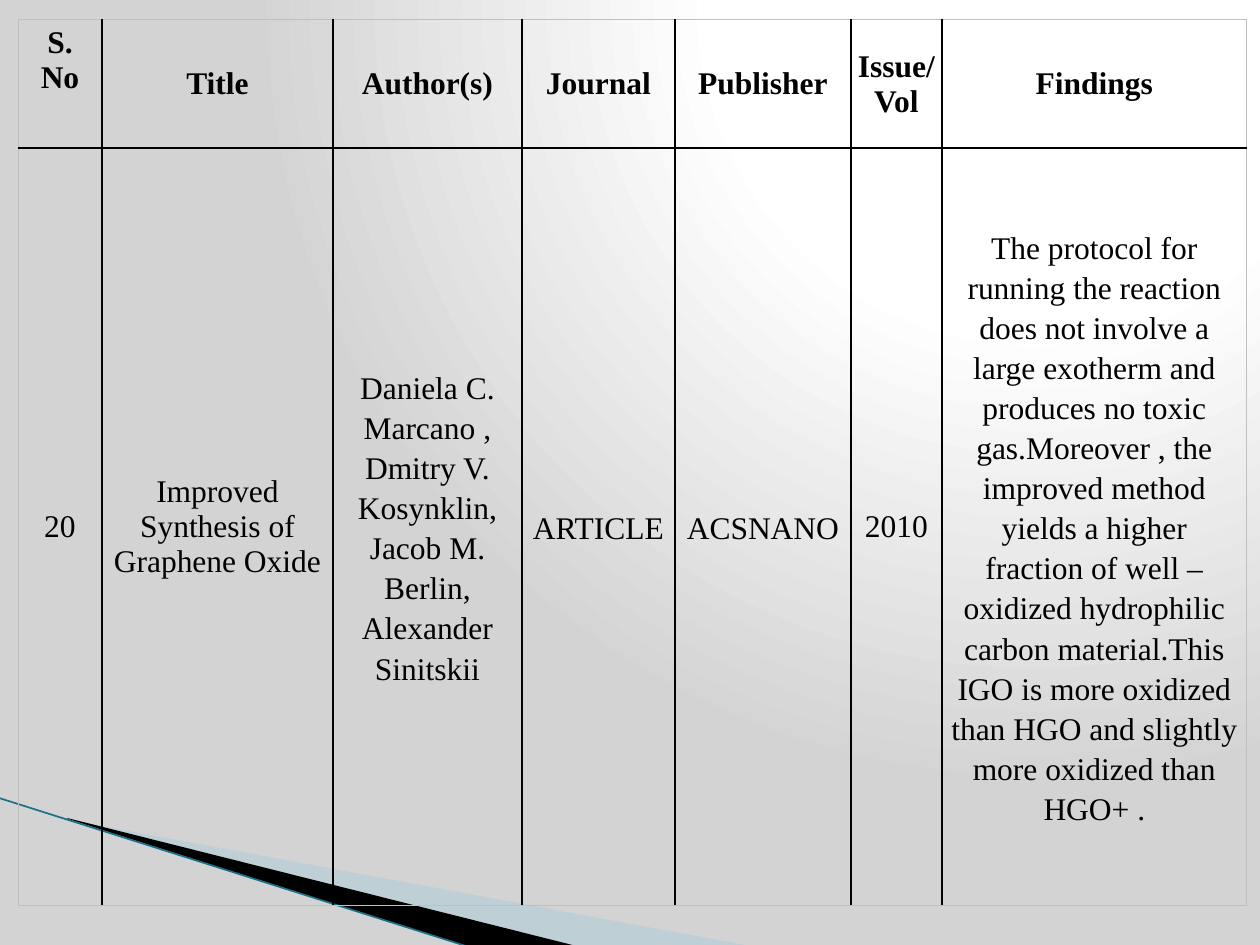
from lxml.etree import SubElement
from pptx import Presentation
from pptx.dml.color import RGBColor
from pptx.enum.shapes import MSO_CONNECTOR
from pptx.enum.text import MSO_ANCHOR, PP_ALIGN
from pptx.oxml import parse_xml
from pptx.oxml.ns import nsdecls, qn
from pptx.util import Pt

SCALE = 914400 / 126
COLS = [84, 231, 189, 153, 176, 91, 305]
ROWS = [129, 757]
HEADS = ["S. No", "Title", "Author(s)", "Journal", "Publisher", "Issue/ Vol", "Findings"]
PAPER = [
    "20",
    "Improved Synthesis of Graphene Oxide",
    "Daniela C. Marcano , Dmitry V. Kosynklin, Jacob M. Berlin, Alexander Sinitskii",
    "ARTICLE",
    "ACSNANO",
    "2010",
    "The protocol for running the reaction does not involve a large exotherm and "
    "produces no toxic gas.Moreover , the improved method yields a higher fraction "
    "of well – oxidized hydrophilic carbon material.This IGO is more oxidized than "
    "HGO and slightly more oxidized than HGO+ .",
]
LOOSE = {2, 3, 4, 6}


def px(num):
    """Turn pixels into EMU."""
    return round(num * SCALE)


def tint(code):
    """Turn a hex string into a colour."""
    return RGBColor.from_string(code)


def put_back(slide):
    """Set the round gradient of the background."""
    stops = "".join(
        f'<a:gs pos="{pos}000"><a:srgbClr val="{code}"/></a:gs>'
        for pos, code in [(0, "FFFFFF"), (40, "FFFFFF"), (100, "D3D3D3")]
    )
    slide.element.cSld.insert(0, parse_xml(
        f'<p:bg {nsdecls("p", "a")}><p:bgPr><a:gradFill rotWithShape="1">'
        f'<a:gsLst>{stops}</a:gsLst><a:path path="circle">'
        '<a:fillToRect l="65000" b="98000"/></a:path></a:gradFill>'
        '<a:effectLst/></p:bgPr></p:bg>'
    ))


def add_wedge(slide, points, code, alpha=100):
    """Draw a filled wedge through the points."""
    build = slide.shapes.build_freeform(*points[0], scale=SCALE)
    build.add_line_segments(points[1:], close=True)
    wedge = build.convert_to_shape()
    wedge.shadow.inherit = False
    wedge.line.fill.background()
    wedge.fill.solid()
    wedge.fill.fore_color.rgb = tint(code)
    if alpha < 100:
        color = wedge.element.spPr.find(f'{qn("a:solidFill")}/{qn("a:srgbClr")}')
        SubElement(color, qn("a:alpha")).set("val", str(alpha * 1000))


def add_line(slide, start, end, code, width):
    """Draw a straight line."""
    ends = [px(num) for num in (*start, *end)]
    line = slide.shapes.add_connector(MSO_CONNECTOR.STRAIGHT, *ends)
    line.line.color.rgb = tint(code)
    line.line.width = Pt(width)
    SubElement(line.element.spPr, qn("a:effectLst"))


def set_text(cell, text, size=18, bold=False, space=None, anchor=MSO_ANCHOR.MIDDLE):
    """Write centred text into a cell."""
    cell.vertical_anchor = anchor
    para = cell.text_frame.paragraphs[0]
    para.alignment = PP_ALIGN.CENTER
    if space:
        para.line_spacing = space
    run = para.add_run()
    run.text = text
    run.font.name = "Times New Roman"
    run.font.size = Pt(size)
    run.font.bold = bold
    run.font.color.rgb = tint("000000")


def set_edges(cell, outer):
    """Draw black inner edges and thin grey outer ones."""
    props = cell._tc.get_or_add_tcPr()
    for side in "LRTB":
        width, code = (0.5, "BFBFBF") if side in outer else (1, "000000")
        props.append(parse_xml(
            f'<a:ln{side} {nsdecls("a")} w="{Pt(width)}"><a:solidFill>'
            f'<a:srgbClr val="{code}"/></a:solidFill></a:ln{side}>'
        ))


def set_insets(cell, side, top, base):
    """Set the margins of a cell."""
    cell.margin_left = cell.margin_right = px(side)
    cell.margin_top, cell.margin_bottom = px(top), px(base)


def add_grid(slide):
    """Add the table of papers."""
    frame = slide.shapes.add_table(
        len(ROWS), len(COLS), px(18), px(19), px(sum(COLS)), px(sum(ROWS)))
    table = frame.table
    table.first_row = table.horz_banding = False
    for col, width in zip(table.columns, COLS):
        col.width = px(width)
    for row, height in zip(table.rows, ROWS):
        row.height = px(height)
    last = len(COLS) - 1
    for at, (head, item) in enumerate(zip(HEADS, PAPER)):
        top, low = table.cell(0, at), table.cell(1, at)
        sides = {0: "L", last: "R"}.get(at, "")
        for cell, edge in ((top, "T"), (low, "B")):
            set_edges(cell, sides + edge)
            cell.fill.background()
        set_text(top, head, bold=True,
                 anchor=MSO_ANCHOR.MIDDLE if at else MSO_ANCHOR.TOP)
        set_text(low, item, space=1.15 if at in LOOSE else None)
        if at:
            set_insets(top, 1, 1, 0)
            set_insets(low, 9, 0, 0)


def main():
    """Build the slide and save it."""
    deck = Presentation()
    deck.slide_width, deck.slide_height = px(1260), px(945)
    slide = deck.slides.add_slide(deck.slide_layouts[6])
    put_back(slide)
    add_wedge(slide, [(69, 820), (750, 946), (575, 946), (69, 819)], "A0CBDC", alpha=40)
    add_wedge(slide, [(67, 818), (576, 946), (469, 947), (68, 819)], "000000")
    add_line(slide, (-1, 798), (469, 947), "1A7088", 0.95)
    add_grid(slide)
    deck.save("out.pptx")


if __name__ == "__main__":
    main()
